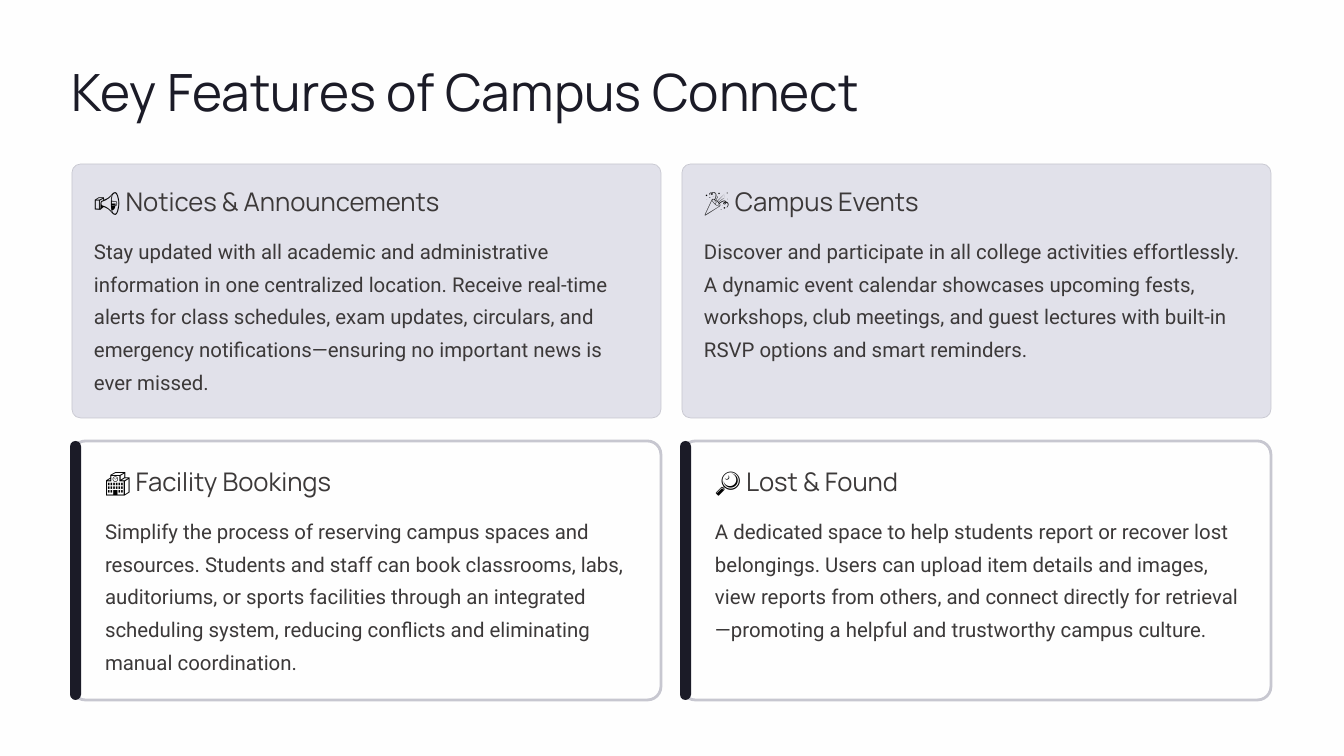
from dataclasses import dataclass

from pptx import Presentation
from pptx.dml.color import RGBColor
from pptx.enum.shapes import MSO_SHAPE
from pptx.util import Emu, Pt

ROUNDED = MSO_SHAPE.ROUNDED_RECTANGLE


@dataclass(frozen=True)
class Theme:
    page: str = "FEFEFE"
    ink: str = "1B1B27"
    text: str = "3C3939"
    icon: str = "000000"
    panel: str = "E1E1EA"
    border: str = "C7C7D0"
    heading_font: str = "Manrope"
    body_font: str = "Roboto"
    title_size: float = 44
    heading_size: float = 22
    body_size: float = 17.5


THEME = Theme()

FEATURES = [
    ("📢", "Notices & Announcements",
     "Stay updated with all academic and administrative information in one "
     "centralized location. Receive real-time alerts for class schedules, exam "
     "updates, circulars, and emergency notifications—ensuring no important "
     "news is ever missed."),
    ("🎉", "Campus Events",
     "Discover and participate in all college activities effortlessly. A dynamic "
     "event calendar showcases upcoming fests, workshops, club meetings, and "
     "guest lectures with built-in RSVP options and smart reminders."),
    ("🏫", "Facility Bookings",
     "Simplify the process of reserving campus spaces and resources. Students "
     "and staff can book classrooms, labs, auditoriums, or sports facilities "
     "through an integrated scheduling system, reducing conflicts and "
     "eliminating manual coordination."),
    ("🔎", "Lost & Found",
     "A dedicated space to help students report or recover lost belongings. "
     "Users can upload item details and images, view reports from others, and "
     "connect directly for retrieval—promoting a helpful and trustworthy "
     "campus culture."),
]


def px(length):
    return Emu(round(length * 914400 / 84))


def rgb(color):
    return RGBColor.from_string(color)


def add_panel(slide, box, radius, fill, border=None, border_width=0):
    panel = slide.shapes.add_shape(ROUNDED, *map(px, box))
    panel.shadow.inherit = False
    panel.adjustments[0] = radius
    panel.fill.solid()
    panel.fill.fore_color.rgb = rgb(fill)
    if border:
        panel.line.color.rgb = rgb(border)
        panel.line.width = Pt(border_width)
    else:
        panel.line.fill.background()


def add_text(slide, box, runs, font, size, leading):
    """Place one paragraph made of (text, color) runs."""
    frame = slide.shapes.add_textbox(*map(px, box)).text_frame
    frame.word_wrap = True
    frame.margin_left = frame.margin_right = 0
    frame.margin_top = frame.margin_bottom = 0
    paragraph = frame.paragraphs[0]
    paragraph.line_spacing = Pt(leading)
    paragraph.font.name = font
    paragraph.font.size = Pt(size)
    for text, color in runs:
        run = paragraph.add_run()
        run.text = text
        run.font.color.rgb = rgb(color)


def add_title(slide, box):
    add_text(slide, box, [("Key Features of Campus Connect", THEME.ink)],
             THEME.heading_font, THEME.title_size, 55.5)


def add_feature_text(slide, box, feature):
    left, top, width, height = box
    icon, heading, body = feature
    body_offset = 46
    add_text(slide, (left, top, width, 33),
             [(icon, THEME.icon), (" " + heading, THEME.text)],
             THEME.heading_font, THEME.heading_size, 27.5)
    add_text(slide, (left, top + body_offset, width, height - body_offset),
             [(body, THEME.text)], THEME.body_font, THEME.body_size, 28)


def add_filled_card(slide, box, feature):
    left, top, width, height = box
    add_panel(slide, box, 0.034, THEME.panel, THEME.border, 0.6)
    add_feature_text(slide, (left + 22, top + 21, width - 43, height - 43), feature)


def add_barred_card(slide, box, feature):
    left, top, width, height = box
    add_panel(slide, box, 0.052, THEME.page, THEME.border, 2.4)
    # Dark bar along the left edge
    add_panel(slide, (left - 2, top, 11, height), 0.5, THEME.ink)
    add_feature_text(slide, (left + 33, top + 24, width - 56, height - 47), feature)


def add_feature_grid(slide, box):
    left, top, width, _ = box
    column_gap, row_gap = 21, 23
    card_width = (width - column_gap) // 2
    rows = [(add_filled_card, 254), (add_barred_card, 259)]
    for row, (add_card, card_height) in enumerate(rows):
        for column in range(2):
            card_left = left + column * (card_width + column_gap)
            add_card(slide, (card_left, top, card_width, card_height),
                     FEATURES[2 * row + column])
        top += card_height + row_gap


def main():
    deck = Presentation()
    deck.slide_width, deck.slide_height = px(1344), px(756)
    slide = deck.slides.add_slide(deck.slide_layouts[6])
    slide.background.fill.solid()
    slide.background.fill.fore_color.rgb = rgb(THEME.page)
    add_title(slide, (72, 57, 1199, 65))
    add_feature_grid(slide, (72, 164, 1199, 536))
    deck.save("out.pptx")


if __name__ == "__main__":
    main()
